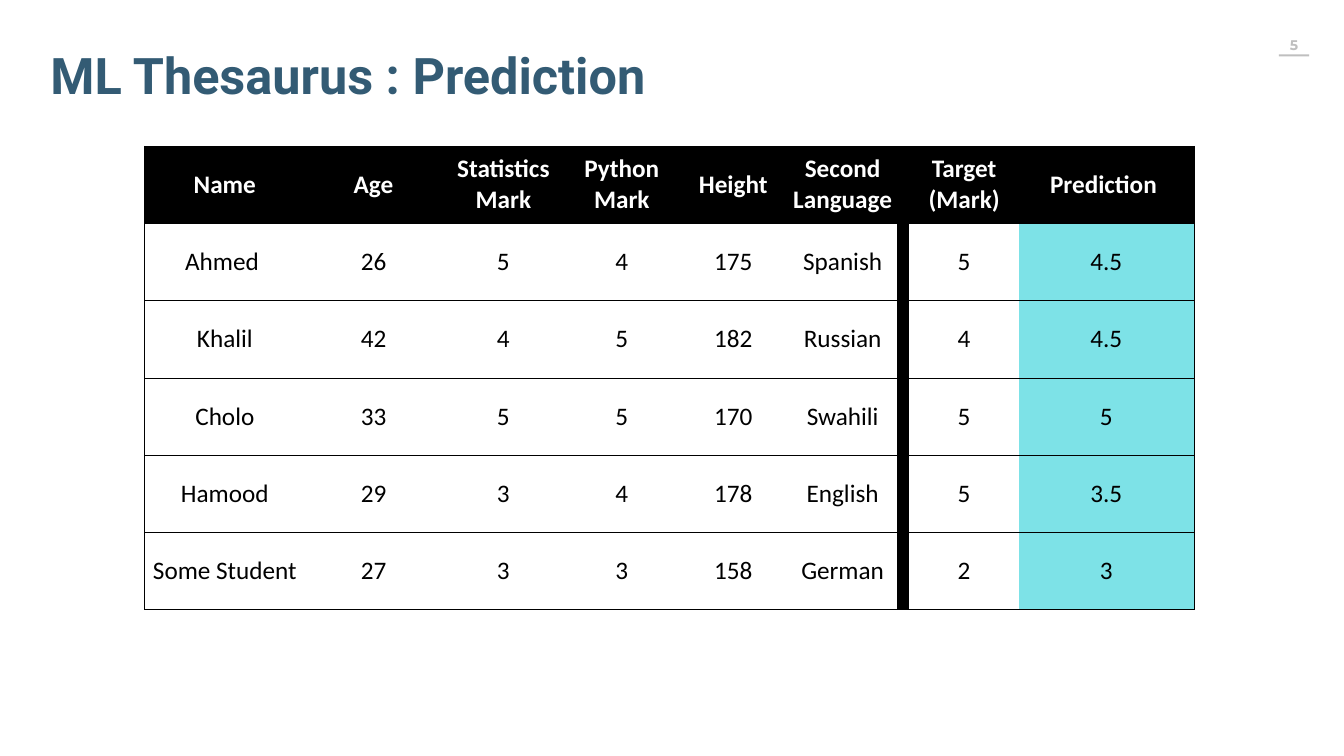
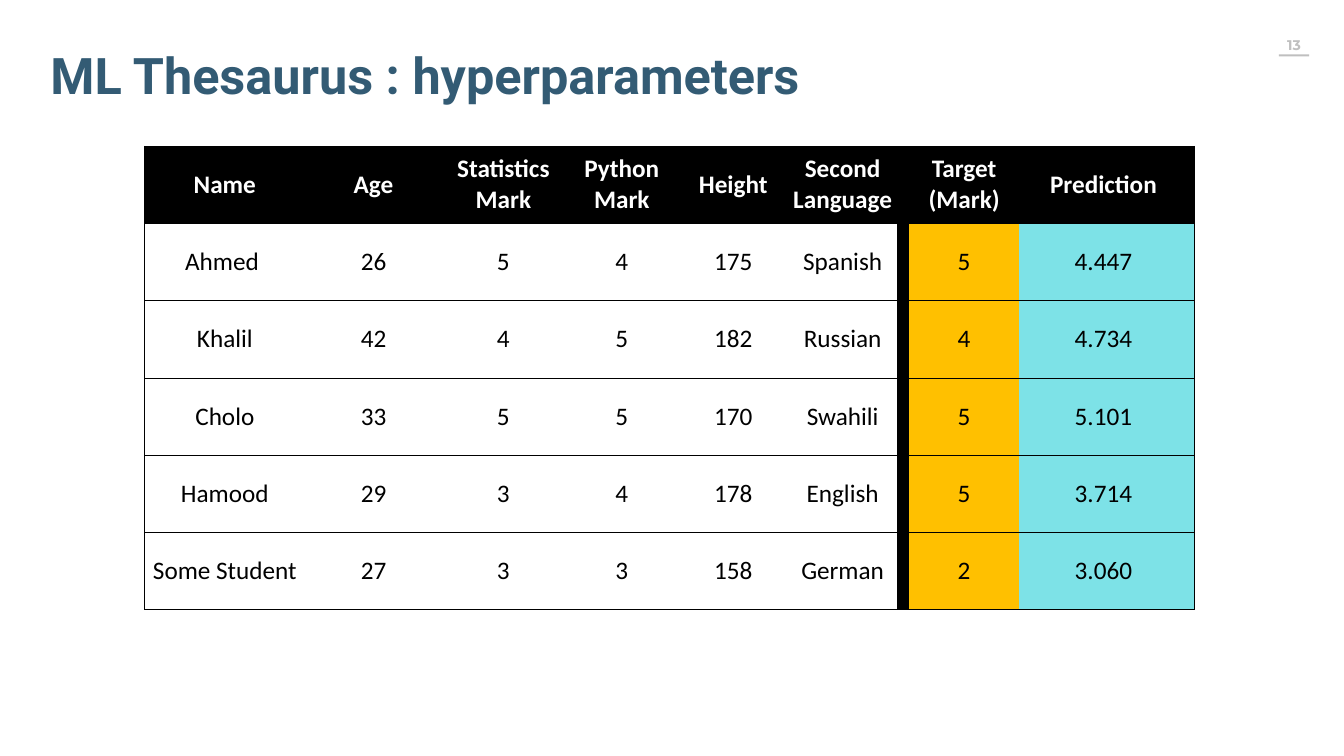
"""Build two slides comparing student marks with predicted marks."""
import lxml.etree
import pptx
import pptx.dml.color
import pptx.enum.shapes
import pptx.enum.text
import pptx.oxml.ns
import pptx.util

PP = pptx.enum.text
THEME = {
    "black": "000000", "white": "FFFFFF", "grey": "BFBFBF",
    "prediction": "7DE2E7", "target": "FFC000", "rule": 0.5,
    "title": {"name": "Roboto", "size": pptx.util.Pt(72), "bold": True, "color": "335B74"},
    "number": {"name": "Montserrat", "size": pptx.util.Pt(20), "bold": True, "color": "BFBFBF"},
    "header": {"name": "Calibri", "size": pptx.util.Pt(36), "bold": True, "color": "FFFFFF"},
    "body": {"name": "Calibri", "size": pptx.util.Pt(36), "bold": False, "color": "000000"},
}
PLAIN_TABLE_STYLE = "{2D5ABB26-0587-4C30-8999-92F81FD0307C}"

deck = pptx.Presentation()
deck.slide_width = pptx.util.Inches(26.66)
deck.slide_height = pptx.util.Inches(15)


def place(left, top, width, height):
    """Turn percentages of the slide into lengths."""
    sides = (deck.slide_width, deck.slide_height) * 2
    return [pptx.util.Emu(round(share * side / 100))
            for share, side in zip((left, top, width, height), sides)]


def write(frame, text, style, align):
    """Fill a text frame in one style of the theme."""
    frame.text = text
    for paragraph in frame.paragraphs:
        paragraph.alignment = align
        for run in paragraph.runs:
            for key, value in THEME[style].items():
                if key == "color":
                    run.font.color.rgb = pptx.dml.color.RGBColor.from_string(value)
                else:
                    setattr(run.font, key, value)


columns = [12, 10.13, 9.19, 8.44, 8.14, 8.14, 0.86, 8.14, 13.02]
row_height = 10.22
divider, target, prediction = 6, 7, 8
header = ["Name", "Age", "Statistics Mark", "Python Mark", "Height",
          "Second Language", "", "Target\n(Mark)", "Prediction "]
students = [
    ["Ahmed ", "26", "5", "4", "175", "Spanish", "", "5"],
    ["Khalil", "42", "4", "5", "182", "Russian", "", "4"],
    ["Cholo", "33", "5", "5", "170", "Swahili", "", "5"],
    ["Hamood", "29", "3", "4", "178", "English", "", "5"],
    ["Some Student", "27", "3", "3", "158", "German", "", "2"],
]
pages = [
    ("5", "ML Thesaurus : Prediction", THEME["white"],
     ["4.5", "4.5", "5", "3.5", "3"]),
    ("13", "ML Thesaurus : hyperparameters", THEME["target"],
     ["4.447 ", "4.734 ", "5.101 ", "3.714 ", "3.060 "]),
]

for page_number, heading, target_fill, predictions in pages:
    slide = deck.slides.add_slide(deck.slide_layouts[6])

    number = slide.shapes.add_textbox(*place(94.94, 4.13, 3.23, 3.6)).text_frame
    number_format = {
        "margin_left": pptx.util.Inches(0.2), "margin_right": pptx.util.Inches(0.35),
        "margin_top": pptx.util.Inches(0.1), "margin_bottom": pptx.util.Inches(0.1),
        "word_wrap": False, "auto_size": PP.MSO_AUTO_SIZE.SHAPE_TO_FIT_TEXT,
    }
    for key, value in number_format.items():
        setattr(number, key, value)
    write(number, page_number, "number", PP.PP_ALIGN.CENTER)

    underline = slide.shapes.add_shape(
        pptx.enum.shapes.MSO_SHAPE.RECTANGLE, *place(95.16, 7.2, 2.25, 0.27))
    underline.shadow.inherit = False
    underline.fill.solid()
    underline.fill.fore_color.rgb = pptx.dml.color.RGBColor.from_string(THEME["grey"])
    underline.line.fill.background()

    title = slide.shapes.add_textbox(*place(3.38, 5.47, 78.39, 8.73)).text_frame
    title_format = {"word_wrap": True, "auto_size": PP.MSO_AUTO_SIZE.SHAPE_TO_FIT_TEXT}
    for key, value in title_format.items():
        setattr(title, key, value)
    write(title, heading, "title", PP.PP_ALIGN.LEFT)

    rows = [header] + [student + [mark] for student, mark in zip(students, predictions)]
    marks_frame = slide.shapes.add_table(
        len(rows), len(columns),
        *place(10.73, 19.33, sum(columns), row_height * len(rows)))
    marks = marks_frame.table
    marks.first_row = True
    marks.horz_banding = False
    for style_id in marks_frame.element.iter(pptx.oxml.ns.qn("a:tableStyleId")):
        style_id.text = PLAIN_TABLE_STYLE
    for column, share in zip(marks.columns, columns):
        column.width = place(0, 0, share, 0)[2]
    for row in marks.rows:
        row.height = place(0, 0, 0, row_height)[3]

    body_fills = {divider: THEME["black"], target: target_fill,
                  prediction: THEME["prediction"]}
    for r, values in enumerate(rows):
        for c, value in enumerate(values):
            cell = marks.cell(r, c)
            cell.vertical_anchor = PP.MSO_ANCHOR.MIDDLE
            write(cell.text_frame, value, "body" if r else "header", PP.PP_ALIGN.CENTER)
            fill = body_fills.get(c, THEME["white"]) if r else THEME["black"]
            cell.fill.solid()
            cell.fill.fore_color.rgb = pptx.dml.color.RGBColor.from_string(fill)

            edges = ["lnL"] * (c == 0) + ["lnR"] * (c == prediction) + ["lnT", "lnB"]
            properties = cell._tc.get_or_add_tcPr()
            for position, edge in enumerate(edges):
                border = lxml.etree.Element(
                    pptx.oxml.ns.qn(f"a:{edge}"), w=str(pptx.util.Pt(THEME["rule"])))
                paint = lxml.etree.SubElement(border, pptx.oxml.ns.qn("a:solidFill"))
                lxml.etree.SubElement(
                    paint, pptx.oxml.ns.qn("a:srgbClr"), val=THEME["black"])
                properties.insert(position, border)

deck.save("out.pptx")
